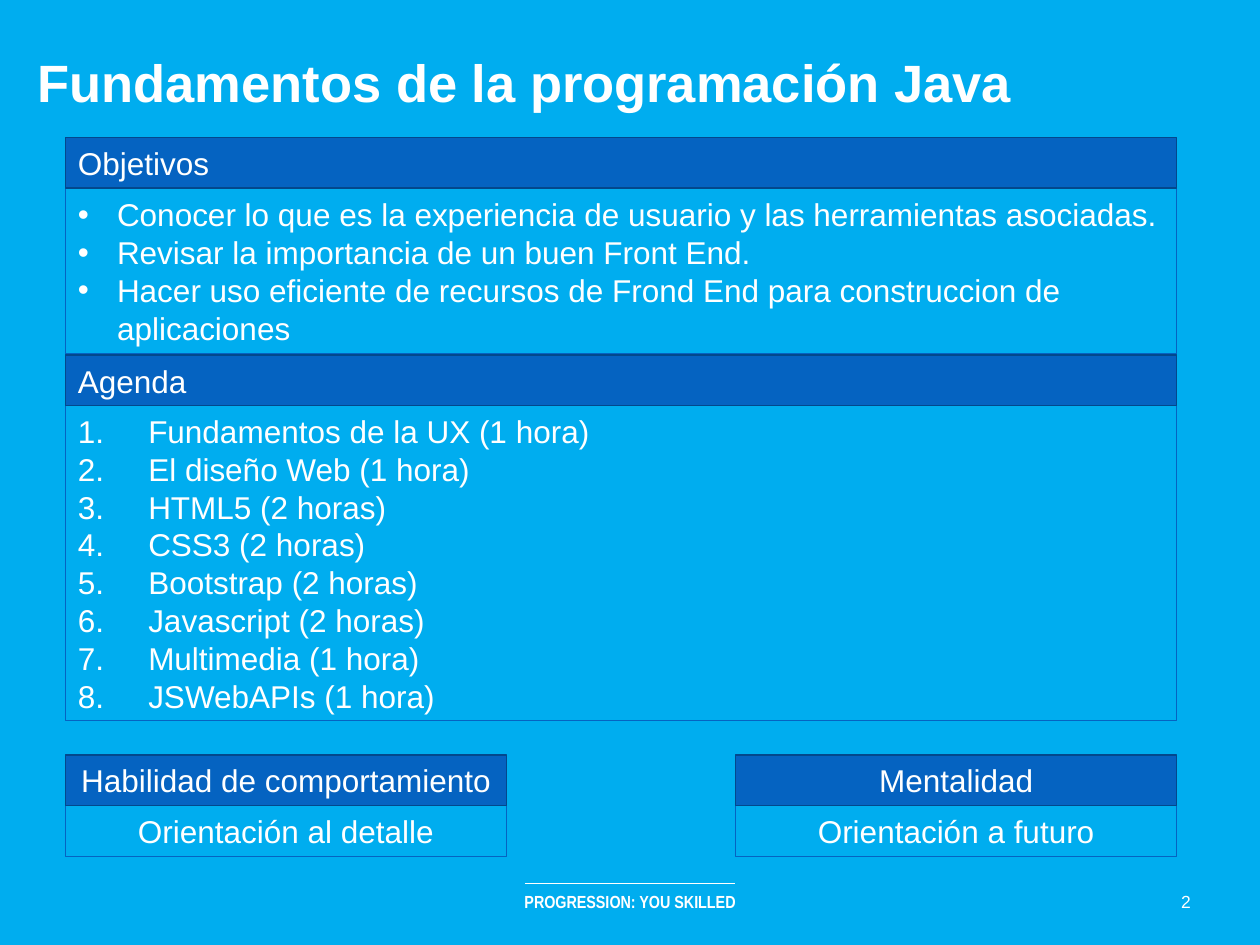
from dataclasses import dataclass

from lxml import etree
from pptx import Presentation
from pptx.dml.color import RGBColor
from pptx.enum.shapes import MSO_CONNECTOR, MSO_SHAPE
from pptx.enum.text import MSO_ANCHOR, MSO_AUTO_SIZE, PP_ALIGN
from pptx.oxml.ns import qn
from pptx.util import Cm, Pt

LEFT, CENTER = PP_ALIGN.LEFT, PP_ALIGN.CENTER
TOP, MIDDLE = MSO_ANCHOR.TOP, MSO_ANCHOR.MIDDLE
TITLE_ONLY = 5


@dataclass(frozen=True)
class Theme:
    background: RGBColor = RGBColor.from_string("00ADEF")
    band: RGBColor = RGBColor.from_string("0563C1")
    band_edge: RGBColor = RGBColor.from_string("03488C")
    text: RGBColor = RGBColor.from_string("FFFFFF")
    font: str = "Arial"
    footer_font: str = "Arial Narrow"
    title_size: int = 30
    body_size: int = 18
    footer_size: int = 10


@dataclass(frozen=True)
class ListStyle:
    tag: str
    attribute: str
    value: str
    indent: float


@dataclass(frozen=True)
class Box:
    """A region in centimetres."""
    left: float
    top: float
    width: float
    height: float

    def lengths(self):
        return Cm(self.left), Cm(self.top), Cm(self.width), Cm(self.height)


THEME = Theme()
BULLETS = ListStyle("a:buChar", "char", "•", 0.79)
NUMBERS = ListStyle("a:buAutoNum", "type", "arabicPeriod", 1.42)
HEADER_HEIGHT = 1.02


def add_list_marker(para, style):
    properties = para._p.get_or_add_pPr()
    properties.set("marL", str(Cm(style.indent)))
    properties.set("indent", str(-Cm(style.indent)))
    color = etree.SubElement(properties, qn("a:buClr"))
    etree.SubElement(color, qn("a:srgbClr"), val=str(THEME.text))
    font = etree.SubElement(properties, qn("a:buFont"))
    font.set("typeface", THEME.font)
    etree.SubElement(properties, qn(style.tag)).set(style.attribute, style.value)


def write(shape, lines, size=THEME.body_size, align=LEFT, anchor=MIDDLE,
          font=THEME.font, bold=False, list_style=None):
    frame = shape.text_frame
    frame.word_wrap = True
    frame.auto_size = MSO_AUTO_SIZE.NONE
    frame.vertical_anchor = anchor
    for index, line in enumerate(lines):
        para = frame.add_paragraph() if index else frame.paragraphs[0]
        para.alignment = align
        if list_style:
            add_list_marker(para, list_style)
        span = para.add_run()
        span.text = line
        span.font.name = font
        span.font.size = Pt(size)
        span.font.bold = bold
        span.font.color.rgb = THEME.text


def add_panel(page, box, filled):
    panel = page.shapes.add_shape(MSO_SHAPE.RECTANGLE, *box.lengths())
    panel.shadow.inherit = False
    if filled:
        panel.fill.solid()
        panel.fill.fore_color.rgb = THEME.band
    else:
        panel.fill.background()
    panel.line.color.rgb = THEME.band_edge if filled else THEME.band
    panel.line.width = Pt(0.85 if filled else 0.75)
    return panel


def add_section(page, box, heading, lines, align=LEFT, list_style=None):
    """Place a filled heading band above an outlined body."""
    body = Box(box.left, box.top + HEADER_HEIGHT,
               box.width, box.height - HEADER_HEIGHT)
    header = Box(box.left, box.top, box.width, HEADER_HEIGHT)
    write(add_panel(page, body, False), lines, align=align, list_style=list_style)
    write(add_panel(page, header, True), [heading], align=align)


def add_title(page, box, text):
    title = page.shapes.title
    title.left, title.top, title.width, title.height = box.lengths()
    title.text_frame.margin_left = title.text_frame.margin_right = 0
    write(title, [text], THEME.title_size, anchor=TOP, bold=True)


def add_footer(page, box, text, number):
    """Place a centred rule and caption, with the page number at the right."""
    rule_width, number_width = 4.24, 0.94
    middle = box.left + box.width / 2
    rule = page.shapes.add_connector(
        MSO_CONNECTOR.STRAIGHT,
        Cm(middle - rule_width / 2), Cm(box.top),
        Cm(middle + rule_width / 2), Cm(box.top))
    rule.line.color.rgb = THEME.text
    rule.line.width = Pt(0.75)
    etree.SubElement(rule._element.spPr, qn("a:effectLst"))

    caption = page.shapes.add_textbox(*Box(middle - 3.39, box.top + 0.02, 6.78, box.height).lengths())
    write(caption, [text], THEME.footer_size, CENTER, font=THEME.footer_font, bold=True)
    number_box = Box(box.left + box.width - number_width, box.top + 0.02,
                     number_width, box.height)
    page_number = page.shapes.add_textbox(*number_box.lengths())
    write(page_number, [number], THEME.footer_size, CENTER)


def build_overview(page):
    page.background.fill.solid()
    page.background.fill.fore_color.rgb = THEME.background
    add_title(page, Box(0.76, 0.89, 20.65, 2.82), "Fundamentos de la programación Java")

    left, width, card_width = 1.32, 22.4, 8.89
    add_section(page, Box(left, 2.77, width, 4.37), "Objetivos", [
        "Conocer lo que es la experiencia de usuario y las herramientas asociadas.",
        "Revisar la importancia de un buen Front End.",
        "Hacer uso eficiente de recursos de Frond End para construccion de aplicaciones",
    ], list_style=BULLETS)
    add_section(page, Box(left, 7.16, width, 7.37), "Agenda", [
        "Fundamentos de la UX (1 hora)",
        "El diseño Web (1 hora)",
        "HTML5 (2 horas)",
        "CSS3 (2 horas)",
        "Bootstrap (2 horas)",
        "Javascript (2 horas)",
        "Multimedia (1 hora)",
        "JSWebAPIs (1 hora)",
    ], list_style=NUMBERS)

    cards = [
        (left, "Habilidad de comportamiento", "Orientación al detalle"),
        (left + width - card_width, "Mentalidad", "Orientación a futuro"),
    ]
    for card_left, heading, detail in cards:
        add_section(page, Box(card_left, 15.22, card_width, 2.05),
                    heading, [detail], align=CENTER)
    add_footer(page, Box(1.02, 17.81, 23.36, 0.69), "PROGRESSION: YOU SKILLED", "2")


def main():
    deck = Presentation()
    deck.slide_width, deck.slide_height = Cm(25.4), Cm(19.05)
    build_overview(deck.slides.add_slide(deck.slide_layouts[TITLE_ONLY]))
    deck.save("out.pptx")


if __name__ == "__main__":
    main()
